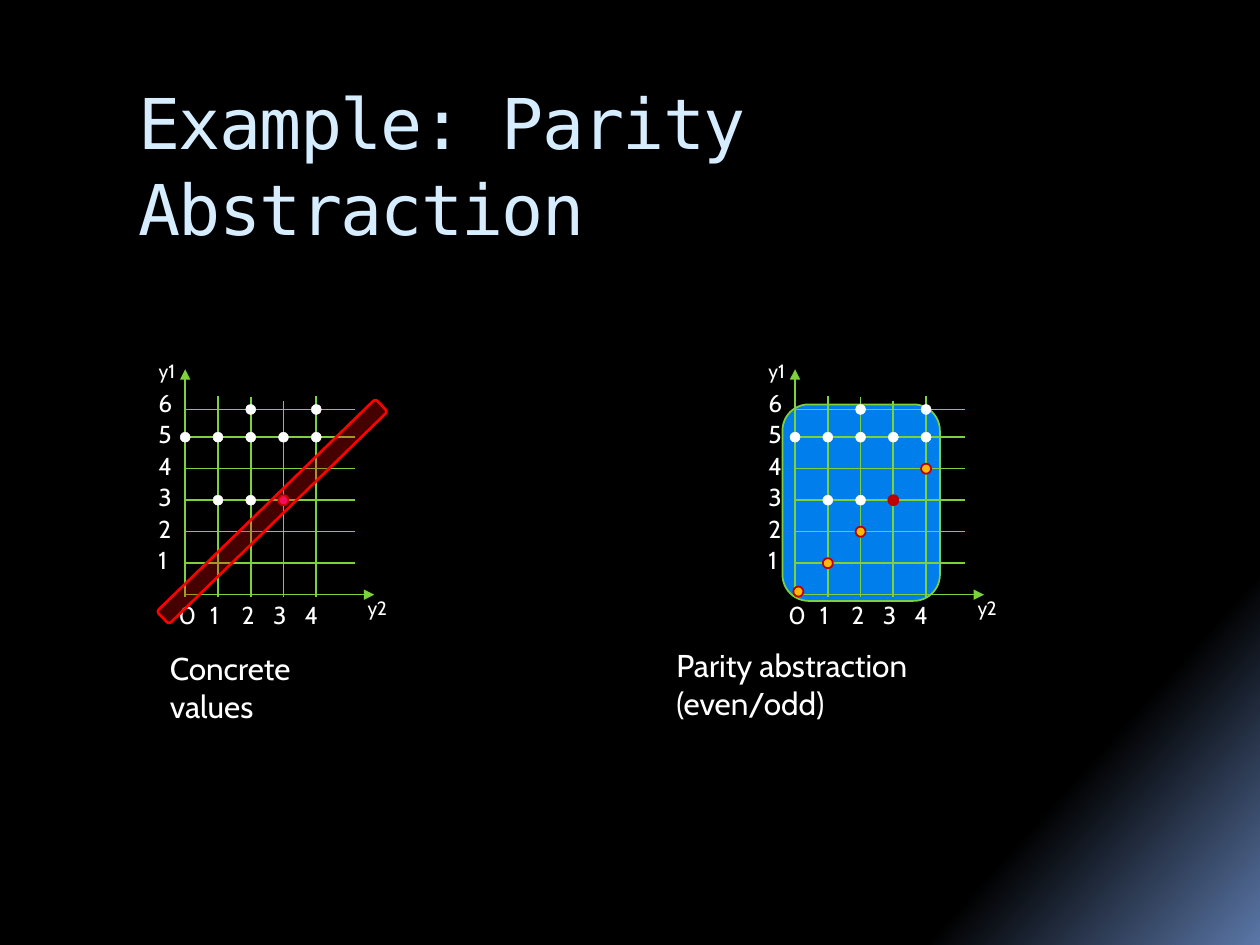
from lxml import etree
from pptx import Presentation
from pptx.dml.color import RGBColor
from pptx.enum.shapes import MSO_CONNECTOR, MSO_SHAPE
from pptx.enum.text import MSO_ANCHOR, PP_ALIGN
from pptx.oxml import parse_xml
from pptx.oxml.ns import nsdecls, qn
from pptx.util import Inches, Pt

STRAIGHT = MSO_CONNECTOR.STRAIGHT
OVAL = MSO_SHAPE.OVAL
ROUNDED = MSO_SHAPE.ROUNDED_RECTANGLE
TOP, LEFT = MSO_ANCHOR.TOP, PP_ALIGN.LEFT

WHITE = RGBColor(0xFF, 0xFF, 0xFF)
PALE_BLUE = RGBColor(0xD6, 0xEC, 0xFF)
GREEN = RGBColor(0x7F, 0xD1, 0x3B)
BLUE = RGBColor(0x00, 0x7E, 0xEB)
RED = RGBColor(0xFF, 0x00, 0x00)
DARK_RED = RGBColor(0xC0, 0x00, 0x00)
PINK = RGBColor(0xEA, 0x15, 0x7A)
ORANGE = RGBColor(0xFE, 0xB8, 0x0A)

# Content: points are (y2, y1) grid positions
TITLE = "Example: Parity Abstraction"
SHARED_POINTS = [(0, 5), (1, 5), (2, 5), (3, 5), (4, 5),
                 (2, 6), (4, 6), (2, 3), (1, 3)]
ABSTRACT_POINTS = [(0.1, 0.1), (1, 1), (2, 2), (4, 4)]
MEETING_POINT = (3, 3)
CAPTIONS = [("Concrete values", (1.25, 5.1, 1.86, 0.4)),
            ("Parity abstraction (even/odd)", (5.27, 5.08, 3.23, 0.4))]
BACKGROUND_STOPS = [(65, "000000"), (84, "000000"), (100, "5B77A8")]

# Grid geometry in inches
CONCRETE_X, ABSTRACT_X = 1.47, 6.31
BASE_Y = 4.72
COLUMN_STEP, ROW_STEP = 0.26, 0.25
COLUMN_TOPS = [3.14, 3.15, 3.18, 3.14]
TOP_ROW_Y = 3.25
DOT = 0.08


def row_y(row):
    return TOP_ROW_Y if row == 6 else BASE_Y - row * ROW_STEP


def set_background(page):
    stops = "".join(f'<a:gs pos="{place * 1000}"><a:srgbClr val="{color}"/></a:gs>'
                    for place, color in BACKGROUND_STOPS)
    page.element.cSld.insert(0, parse_xml(
        f'<p:bg {nsdecls("p", "a")}><p:bgPr><a:gradFill rotWithShape="1">'
        f'<a:gsLst>{stops}</a:gsLst><a:lin ang="{42 * 60000}" scaled="0"/>'
        '</a:gradFill><a:effectLst/></p:bgPr></p:bg>'))


def write(frame, text, size, font="Cabin", color=WHITE, wrap=False):
    frame.word_wrap = wrap
    frame.vertical_anchor = TOP
    para = frame.paragraphs[0]
    para.alignment = LEFT
    span = para.add_run()
    span.text = text
    span.font.size = Pt(size)
    span.font.name = font
    span.font.color.rgb = color
    return span


def add_label(shapes, text, left, top, width=0.24, height=0.28, size=14):
    box = shapes.add_textbox(*map(Inches, (left, top, width, height)))
    write(box.text_frame, text, size)


def add_line(shapes, start, end, arrow=False):
    line = shapes.add_connector(STRAIGHT, *map(Inches, (*start, *end)))
    line.line.color.rgb = GREEN
    line.line.width = Pt(0.94)
    if arrow:
        etree.SubElement(line.line._get_or_add_ln(), qn("a:tailEnd"), type="triangle")
    etree.SubElement(line._element.spPr, qn("a:effectLst"))


def add_figure(shapes, kind, place, fill, outline, width):
    figure = shapes.add_shape(kind, *map(Inches, place))
    figure.shadow.inherit = False
    figure.fill.solid()
    figure.fill.fore_color.rgb = fill
    figure.line.color.rgb = outline
    figure.line.width = Pt(width)
    return figure


def add_dot(shapes, origin, point, fill=WHITE, outline=WHITE, width=0.25):
    column, row = point
    left = origin + column * COLUMN_STEP - DOT / 2
    add_figure(shapes, OVAL, (left, row_y(row) - DOT / 2, DOT, DOT),
               fill, outline, width)


def add_plane(shapes, origin, meeting_fill):
    # Axes and grid lines
    add_line(shapes, (origin, 4.74), (origin, 2.93), arrow=True)
    add_line(shapes, (origin, BASE_Y), (origin + 1.5, BASE_Y), arrow=True)
    for column, top in enumerate(COLUMN_TOPS, start=1):
        x = origin + column * COLUMN_STEP
        add_line(shapes, (x, top), (x, 4.74))
    for row in range(1, 7):
        add_line(shapes, (origin, row_y(row)), (origin + 1.35, row_y(row)))

    # Axis labels
    for number in range(5):
        add_label(shapes, str(number), origin - 0.15 + number * 0.25, 4.71)
    for number in range(1, 7):
        add_label(shapes, str(number), origin - 0.31, 4.53 - number * ROW_STEP)
    add_label(shapes, "y2", origin + 1.35, 4.68, 0.35, 0.29, size=11)
    add_label(shapes, "y1", origin - 0.31, 2.8, 0.35, 0.29, size=11)

    # Points
    for point in SHARED_POINTS:
        add_dot(shapes, origin, point)
    add_dot(shapes, origin, MEETING_POINT, meeting_fill, DARK_RED, 1)


def main():
    deck = Presentation()
    deck.slide_width, deck.slide_height = Inches(10), Inches(7.5)
    page = deck.slides.add_slide(deck.slide_layouts[5])
    set_background(page)

    # Title
    title = page.shapes.title
    title.left, title.top, title.width, title.height = map(Inches, (1, 0.56, 8.5, 1))
    span = write(title.text_frame, TITLE, 40, "DejaVu Sans Mono", PALE_BLUE, wrap=True)
    span.font._element.set("spc", "-100")
    title.text_frame.paragraphs[0].line_spacing = 1.03

    # Concrete values with the diagonal band
    concrete = page.shapes.add_group_shape().shapes
    add_plane(concrete, CONCRETE_X, PINK)
    band = add_figure(page.shapes, ROUNDED, (0.95, 3.99, 2.42, 0.14), RED, RED, 1.5)
    band.rotation = 315.8
    color = band._element.spPr.find(qn("a:solidFill"))[0]
    etree.SubElement(color, qn("a:alpha"), val="27000")

    # Parity abstraction over its region
    abstract = page.shapes.add_group_shape().shapes
    add_figure(abstract, ROUNDED, (6.21, 3.21, 1.25, 1.56), BLUE, GREEN, 1)
    add_plane(abstract, ABSTRACT_X, DARK_RED)
    for point in ABSTRACT_POINTS:
        add_dot(abstract, ABSTRACT_X, point, ORANGE, DARK_RED, 1)

    # Captions, each on two lines
    for text, place in CAPTIONS:
        caption = page.shapes.add_textbox(*map(Inches, place))
        caption.text_frame.margin_right = Inches(0.3)
        write(caption.text_frame, text, 18, wrap=True)

    deck.save("out.pptx")


if __name__ == "__main__":
    main()
